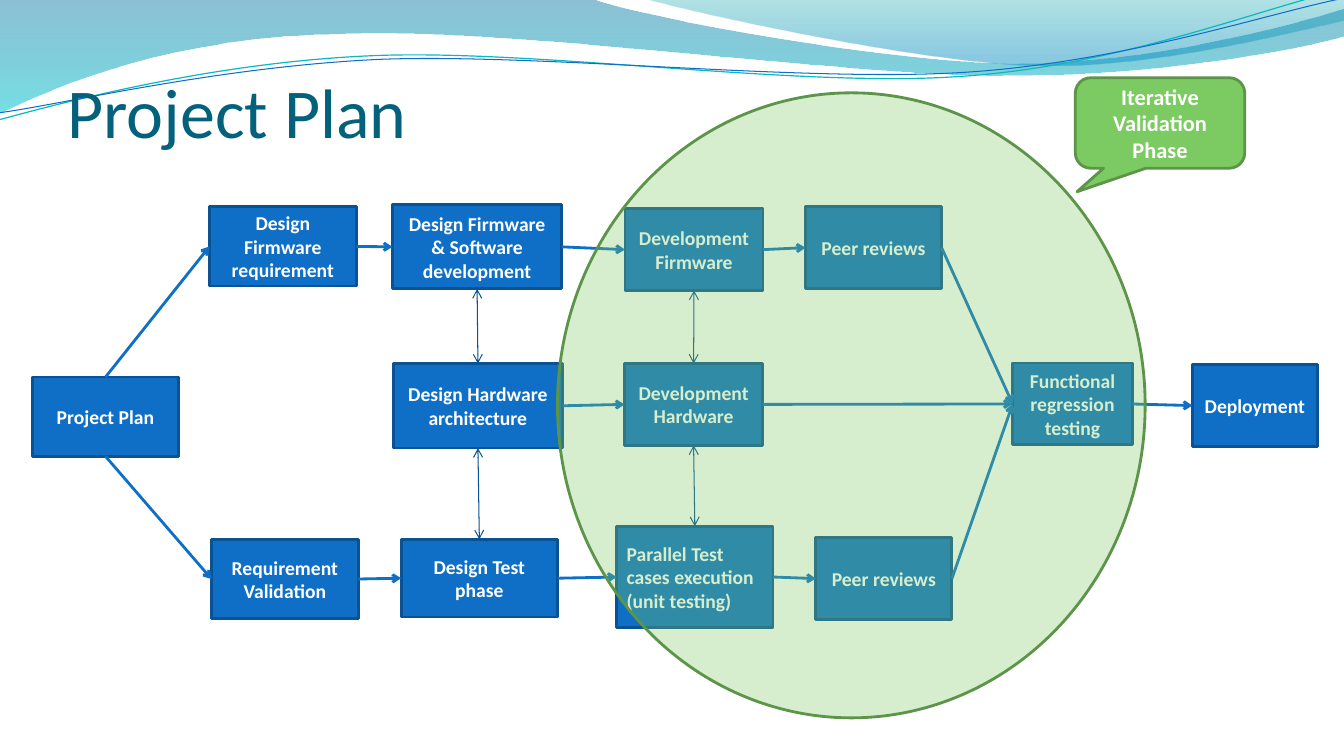
from collections import namedtuple
from dataclasses import dataclass

from lxml import etree
from pptx import Presentation
from pptx import util as u
from pptx.dml import color
from pptx.enum import shapes, text
from pptx.oxml import ns

Box = namedtuple("Box", "left top width height")


@dataclass(frozen=True)
class Theme:
    font: str = "Calibri"
    title_size: float = 50
    step_size: float = 14
    phase_size: float = 16
    outline: float = 2
    thin: float = 0.75
    title: str = "04617B"
    blue: str = "0F6FC6"
    blue_edge: str = "0B5292"
    link: str = "095295"
    green: str = "7CCA62"
    green_edge: str = "5C9549"
    white: str = "FFFFFF"


THEME = Theme()

# Waves: a start point, then segments of one point (line) or three (curve), in cm.
# Bands carry gradient stops: position, colour, opacity in percent.
BANDS = [
    ((0, 0),
     [[(14.91, -0.03)],
      [(16.1, 0.43), (22.48, 1.6), (25.68, 1.6)],
      [(28.91, 1.6), (32.46, 0.66), (33.86, 0.23)],
      [(33.91, 0.91)],
      [(33.3, 1.12), (29.46, 1.93), (25.25, 1.91)],
      [(21.06, 1.91), (12.93, 0.71), (8.71, 0.86)],
      [(4.37, 0.91), (1.55, 2.11), (-0.03, 2.87)]],
     [(0, "0074A1", 45), (1, "00C6CF", 55)]),
    ((16.23, -0.03),
     [[(17.25, 0.28), (23.09, 1.57), (26.04, 1.65)],
      [(28.98, 1.75), (32.56, 0.81), (33.86, 0.53)],
      [(33.86, 0)]],
     [(0, "00A1A9", 30), (0.8, "008BBF", 45)]),
]
STRAND_TILT = 357.3
STRANDS = [
    ((-0.08, 2.22),
     [[(1.6, 1.85), (5.37, 1.03), (9.38, 1.05)],
      [(13.4, 1.06), (20.03, 2.36), (24.1, 2.27)],
      [(28.17, 2.21), (31.84, 0.9), (33.87, 0.55)]],
     "0AB8BF", 0.85),
    ((-0.04, 2.04),
     [[(1.57, 1.9), (5.54, 1.14), (9.61, 1.15)],
      [(13.65, 1.19), (20.19, 2.23), (24.24, 2.17)],
      [(28.3, 2.11), (31.92, 1.06), (33.93, 0.75)]],
     THEME.blue, 0.75),
]

# Steps: wording and place inside the flow, in cm
STEPS = {
    "validation": ("Requirement Validation", Box(4.52, 8.43, 3.7, 2)),
    "test design": ("Design Test phase", Box(9.3, 8.43, 3.94, 1.96)),
    "regression": ("Functional regression testing", Box(24.71, 3.99, 3.02, 2.06)),
    "unit tests": ("Parallel Test cases execution (unit testing)",
                   Box(14.73, 8.1, 3.94, 2.56)),
    "test review": ("Peer reviews", Box(19.75, 8.39, 3.43, 2.06)),
    "deployment": ("Deployment", Box(29.24, 4.03, 3.15, 2.06)),
    "requirement": ("Design Firmware requirement", Box(4.47, 0.05, 3.7, 2)),
    "firmware design": ("Design Firmware & Software development",
                        Box(9.08, 0, 4.27, 2.12)),
    "firmware": ("Development Firmware", Box(14.94, 0.1, 3.48, 2.06)),
    "code review": ("Peer reviews", Box(19.49, 0.05, 3.43, 2.06)),
    "hardware design": ("Design Hardware architecture", Box(9.1, 4, 4.27, 2.13)),
    "hardware": ("Development Hardware", Box(14.93, 4, 3.48, 2.06)),
    "plan": ("Project Plan", Box(0, 4.34, 3.7, 2)),
}
TOP, LEFT, BOTTOM, RIGHT = range(4)
BRANCHES = [("plan", TOP, "requirement"), ("plan", BOTTOM, "validation")]
CHAINS = [
    ("requirement", "firmware design", "firmware", "code review", "regression"),
    ("validation", "test design", "unit tests", "test review", "regression"),
    ("hardware design", "hardware", "regression", "deployment"),
]
STACKS = [
    ("firmware design", "hardware design", "test design"),
    ("firmware", "hardware", "unit tests"),
]


def rgb(value):
    return color.RGBColor.from_string(value)


def add_xml(parent, tag, **attributes):
    return etree.SubElement(parent, ns.qn(tag), attributes)


def set_opacity(fill_xml, percent):
    add_xml(fill_xml.find(ns.qn("a:srgbClr")), "a:alpha", val=str(percent * 1000))


def set_line(line, value, width):
    line.color.rgb = rgb(value)
    line.width = u.Pt(width)


def place(box, inner):
    return [u.Cm(value) for value in
            (box.left + inner.left, box.top + inner.top, inner.width, inner.height)]


def write(shape, wording, size, value, bold=True, align=text.PP_ALIGN.CENTER):
    frame = shape.text_frame
    frame.word_wrap = True
    frame.vertical_anchor = text.MSO_ANCHOR.MIDDLE
    para = frame.paragraphs[0]
    para.alignment = align
    span = para.add_run()
    span.text = wording
    span.font.name, span.font.size, span.font.bold = THEME.font, u.Pt(size), bold
    span.font.color.rgb = rgb(value)


def add_block(page, kind, position, fill, edge):
    shape = page.shapes.add_shape(kind, *position)
    shape.shadow.inherit = False
    shape.fill.solid()
    shape.fill.fore_color.rgb = rgb(fill)
    set_line(shape.line, edge, THEME.outline)
    return shape


def add_wave(page, box, start, segments, close):
    def spot(point):
        return u.Cm(box.left + point[0]), u.Cm(box.top + point[1])

    builder = page.shapes.build_freeform(*spot(start), scale=1.0)
    builder.add_line_segments([spot(point) for segment in segments for point in segment],
                              close=close)
    wave = builder.convert_to_shape()
    wave.shadow.inherit = False
    # Gather each run of three points into one Bézier curve
    legs = iter(list(wave.element.iter(ns.qn("a:lnTo"))))
    for segment in segments:
        first, *others = [next(legs) for _ in segment]
        if others:
            first.tag = ns.qn("a:cubicBezTo")
        for leg in others:
            first.append(leg[0])
            leg.getparent().remove(leg)
    return wave


def draw_waves(page, box):
    for start, segments, stops in BANDS:
        band = add_wave(page, box, start, segments, True)
        band.line.fill.background()
        band.fill.gradient()
        band.fill.gradient_angle = 270
        stop_xml = band.element.iter(ns.qn("a:gs"))
        for stop, xml, (position, value, opacity) in zip(
                band.fill.gradient_stops, stop_xml, stops):
            stop.position = position
            stop.color.rgb = rgb(value)
            set_opacity(xml, opacity)
    strands = []
    for start, segments, value, width in STRANDS:
        strand = add_wave(page, box, start, segments, False)
        strand.rotation = STRAND_TILT
        strand.fill.background()
        set_line(strand.line, value, width)
        strands.append(strand)
    page.shapes.add_group_shape(strands)


def draw_title(page, box):
    title = page.shapes.title
    title.element.getparent().append(title.element)  # in front of the waves
    title.left, title.top, title.width, title.height = map(u.Cm, box)
    write(title, "Project Plan", THEME.title_size, THEME.title, False, text.PP_ALIGN.LEFT)
    frame = title.text_frame
    frame.auto_size = text.MSO_AUTO_SIZE.NONE
    frame.vertical_anchor = text.MSO_ANCHOR.BOTTOM
    frame.margin_left = frame.margin_right = frame.margin_bottom = 0
    frame.margin_top = u.Cm(0.13)


def add_arrow(page, source, source_side, target, target_side, two_way=False):
    arrow = page.shapes.add_connector(shapes.MSO_CONNECTOR.STRAIGHT, 0, 0, 0, 0)
    arrow.begin_connect(source, source_side)
    arrow.end_connect(target, target_side)
    set_line(arrow.line, THEME.link if two_way else THEME.blue,
             THEME.thin if two_way else THEME.outline)
    line_xml = arrow.element.spPr.find(ns.qn("a:ln"))
    if two_way:
        add_xml(line_xml, "a:headEnd", type="arrow")
    add_xml(line_xml, "a:tailEnd", type="arrow")
    add_xml(arrow.element.spPr, "a:effectLst")


def draw_flow(page, box):
    # Step boxes
    steps = {}
    for name, (wording, inner) in STEPS.items():
        steps[name] = add_block(page, shapes.MSO_SHAPE.RECTANGLE, place(box, inner),
                                THEME.blue, THEME.blue_edge)
        align = text.PP_ALIGN.LEFT if name == "unit tests" else text.PP_ALIGN.CENTER
        write(steps[name], wording, THEME.step_size, THEME.white, align=align)
    # Arrows between them
    for source, side, target in BRANCHES:
        add_arrow(page, steps[source], side, steps[target], LEFT)
    for chain in CHAINS:
        for source, target in zip(chain, chain[1:]):
            add_arrow(page, steps[source], RIGHT, steps[target], LEFT)
    for stack in STACKS:
        for upper, lower in zip(stack, stack[1:]):
            add_arrow(page, steps[upper], BOTTOM, steps[lower], TOP, two_way=True)


def draw_phase(page, box):
    ring = add_block(page, shapes.MSO_SHAPE.OVAL, place(box, Box(0, 0.38, 14.81, 15.75)),
                     THEME.green, THEME.green_edge)
    set_opacity(ring.element.spPr.find(ns.qn("a:solidFill")), 31)
    callout = add_block(page, shapes.MSO_SHAPE.ROUNDED_RECTANGULAR_CALLOUT,
                        place(box, Box(13.05, 0, 4.27, 2.28)),
                        THEME.green, THEME.green_edge)
    for index, value in enumerate((-0.49, 0.76, 0.17)):
        callout.adjustments[index] = value
    write(callout, "Iterative Validation Phase", THEME.phase_size, THEME.white)


def main():
    deck = Presentation()
    deck.slide_width, deck.slide_height = u.Cm(33.87), u.Cm(19.05)
    page = deck.slides.add_slide(deck.slide_layouts[5])
    draw_waves(page, Box(0, 0, 33.87, 3.02))
    draw_title(page, Box(1.7, 1.14, 30.48, 2.7))
    draw_flow(page, Box(0.81, 5.16, 32.39, 10.67))
    draw_phase(page, Box(14.05, 1.96, 17.32, 16.13))
    deck.save("out.pptx")


if __name__ == "__main__":
    main()
